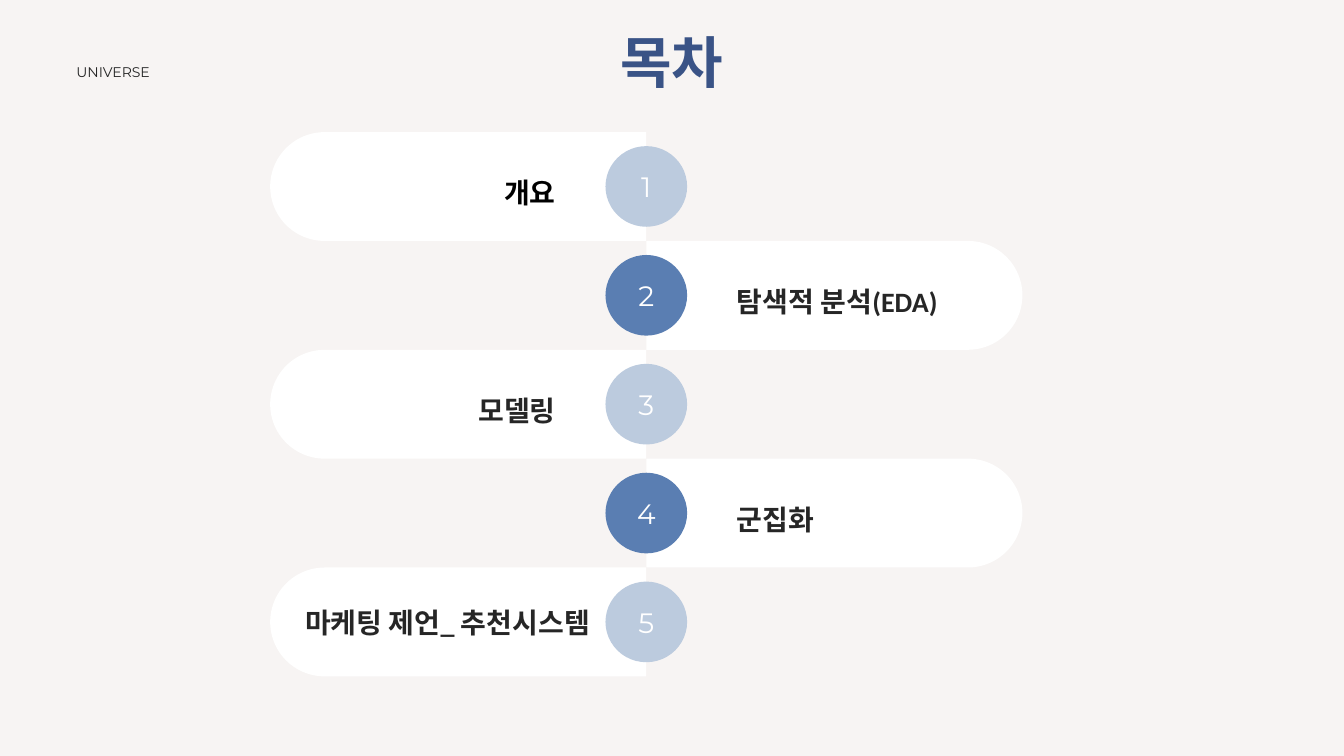
from pptx import Presentation
from pptx.dml.color import RGBColor
from pptx.enum import shapes, text
from pptx.util import Inches, Pt

COLORS = {
    "background": "F7F4F3", "title": "3A5386", "bar": "FFFFFF", "number": "FFFFFF",
    "odd": "BCCBDE", "even": "5A7EB2", "ink": "262626", "black": "000000",
}
TITLE = "목차"
BRANDING = "UNIVERSE"
# label, colour, gap from the spine, width, distance from top of label to row centre
SECTIONS = [
    ("개요", "black", 0.8, 2.68, 0.22),
    ("탐색적 분석(EDA)", "ink", 0.8, 2.68, 0.22),
    ("모델링", "ink", 0.8, 2.68, 0.22),
    ("군집화", "ink", 0.8, 2.68, 0.22),
    ("마케팅 제언_ 추천시스템", "ink", 0.46, 3.73, 0.28),
]
SPINE_X, FIRST_ROW_Y, ROW_PITCH = 6.41, 1.85, 1.08
BAR_LENGTH, BAR_HEIGHT = 3.73, 1.08
CIRCLE_WIDTH, CIRCLE_HEIGHT = 0.81, 0.8


def color(name):
    return RGBColor.from_string(COLORS[name])


def write(shape, words, size, color_name, font="Calibri", bold=False,
          align=text.PP_ALIGN.LEFT, anchor=text.MSO_ANCHOR.TOP, spacing=None):
    frame = shape.text_frame
    frame.word_wrap = True
    frame.vertical_anchor = anchor
    paragraph = frame.paragraphs[0]
    paragraph.alignment = align
    paragraph.line_spacing = spacing
    run = paragraph.add_run()
    run.text = words
    run.font.name = font
    run.font.size = Pt(size)
    run.font.bold = bold
    run.font.color.rgb = color(color_name)


def add_filled(slide, kind, center_x, center_y, width, height, color_name):
    shape = slide.shapes.add_shape(
        kind, Inches(center_x - width / 2), Inches(center_y - height / 2),
        Inches(width), Inches(height))
    shape.shadow.inherit = False
    shape.fill.solid()
    shape.fill.fore_color.rgb = color(color_name)
    shape.line.fill.background()
    return shape


def add_label(slide, left, top, width, height):
    return slide.shapes.add_textbox(Inches(left), Inches(top), Inches(width), Inches(height))


def add_section(slide, index, label, label_color, gap, width, rise):
    """Draw one row: odd numbers go left of the spine, even numbers right."""
    number = index + 1
    on_left = number % 2 == 1
    side = -1 if on_left else 1
    center_y = FIRST_ROW_Y + index * ROW_PITCH

    bar = add_filled(slide, shapes.MSO_SHAPE.ROUND_2_SAME_RECTANGLE,
                     SPINE_X + side * BAR_LENGTH / 2, center_y, BAR_HEIGHT, BAR_LENGTH, "bar")
    bar.adjustments[0] = 0.5
    bar.adjustments[1] = 0
    bar.rotation = 270 if on_left else 90

    circle = add_filled(slide, shapes.MSO_SHAPE.OVAL, SPINE_X, center_y,
                        CIRCLE_WIDTH, CIRCLE_HEIGHT, "odd" if on_left else "even")
    write(circle, str(number), 20, "number", font="Montserrat",
          align=text.PP_ALIGN.CENTER, anchor=text.MSO_ANCHOR.MIDDLE)

    left = SPINE_X - gap - width if on_left else SPINE_X + gap
    write(add_label(slide, left, center_y - rise, width, 0.44), label, 20, label_color, bold=True,
          align=text.PP_ALIGN.RIGHT if on_left else text.PP_ALIGN.LEFT, spacing=1.2)
    return circle


def main():
    presentation = Presentation()
    presentation.slide_width = Inches(13.33)
    presentation.slide_height = Inches(7.5)
    slide = presentation.slides.add_slide(presentation.slide_layouts[5])
    slide.background.fill.solid()
    slide.background.fill.fore_color.rgb = color("background")

    title = slide.shapes.title
    title.left, title.top = Inches(0), Inches(0.19)
    title.width, title.height = Inches(13.33), Inches(0.84)
    write(title, TITLE, 40, "title", bold=True,
          align=text.PP_ALIGN.CENTER, anchor=text.MSO_ANCHOR.MIDDLE)

    circles = [add_section(slide, index, *section) for index, section in enumerate(SECTIONS)]
    # Later bars touch earlier rows, so the numbers go on top.
    for circle in circles:
        slide.shapes._spTree.append(circle._element)

    write(add_label(slide, 0.66, 0.58, 6.45, 0.27), BRANDING, 10, "ink", font="Montserrat")
    presentation.save("out.pptx")


if __name__ == "__main__":
    main()
